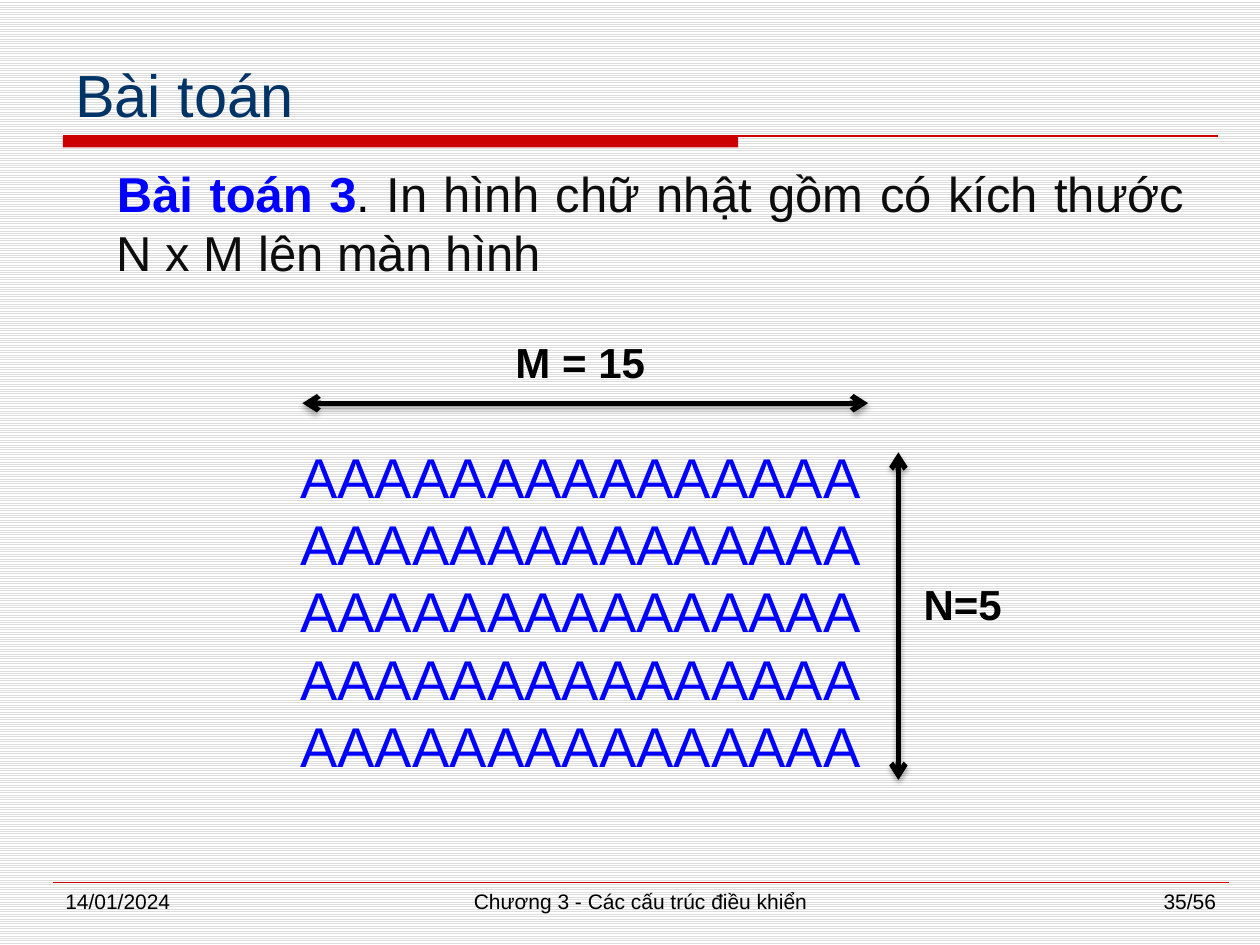
from pptx import Presentation
from pptx.dml.color import RGBColor
from pptx.enum.dml import MSO_PATTERN
from pptx.enum.shapes import MSO_CONNECTOR, MSO_SHAPE
from pptx.enum.text import MSO_ANCHOR, PP_ALIGN
from pptx.oxml import parse_xml
from pptx.oxml.ns import nsdecls, qn
from pptx.util import Inches, Pt
from lxml.etree import SubElement

COLORS = {"red": "CC0000", "navy": "003366", "blue": "0000FF", "black": "000000",
          "ink": "0D0D0D", "gray": "DDDDDD", "white": "FFFFFF"}
ROWS, COLS = 5, 15
SHADOW = (f'<a:effectLst {nsdecls("a")}><a:outerShdw blurRad="39370" dist="22860" dir="5400000" '
          'rotWithShape="0"><a:srgbClr val="000000"><a:alpha val="35000"/></a:srgbClr>'
          '</a:outerShdw></a:effectLst>')


def rgb(name):
    return RGBColor.from_string(COLORS[name])


def add_text(slide, box, text, size=12, color="black", bold=False,
             align=PP_ALIGN.LEFT, anchor=MSO_ANCHOR.TOP):
    """Text is one string per paragraph, or a list of (text, color, bold) runs."""
    frame = slide.shapes.add_textbox(*map(Inches, box)).text_frame
    frame.word_wrap = True
    frame.vertical_anchor = anchor
    lines = [text] if isinstance(text, str) else text
    for i, line in enumerate(lines):
        para = frame.paragraphs[0] if i == 0 else frame.add_paragraph()
        para.alignment = align
        runs = [(line, color, bold)] if isinstance(line, str) else line
        for words, tint, heavy in runs:
            run = para.add_run()
            run.text = words
            font = run.font
            font.name, font.size, font.bold = "Arial", Pt(size), heavy
            font.color.rgb = rgb(tint)


def add_line(slide, start, end, color, width, arrows=False):
    line = slide.shapes.add_connector(MSO_CONNECTOR.STRAIGHT, *map(Inches, start + end))
    line.line.color.rgb = rgb(color)
    line.line.width = Pt(width)
    props = line._element.spPr
    if arrows:
        for tag in ("a:headEnd", "a:tailEnd"):
            SubElement(props.find(qn("a:ln")), qn(tag), type="arrow")
        props.append(parse_xml(SHADOW))
    else:
        SubElement(props, qn("a:effectLst"))


def add_header(slide, box):
    left, top, width, height = box
    base = top + height
    add_text(slide, box, "Bài toán", size=34, color="navy", anchor=MSO_ANCHOR.BOTTOM)
    # Thick bar under the title, then the thin rule
    bar = slide.shapes.add_shape(MSO_SHAPE.RECTANGLE, Inches(left), Inches(base),
                                 Inches(5.36), Inches(0.09))
    bar.shadow.inherit = False
    bar.fill.solid()
    bar.fill.fore_color.rgb = rgb("red")
    bar.line.fill.background()
    add_line(slide, (left, base), (left + width, base), "red", 1.5)


def add_task(slide, box):
    runs = [("Bài toán 3", "blue", True), (". ", "black", False),
            ("In hình chữ nhật gồm có kích thước N x M lên màn hình", "ink", False)]
    add_text(slide, box, [runs], size=28, align=PP_ALIGN.JUSTIFY)


def add_figure(slide, box):
    left, top, width, height = box
    center = PP_ALIGN.CENTER
    # Block of letters
    add_text(slide, box, ["A" * COLS] * ROWS, size=32, color="blue",
             align=center, anchor=MSO_ANCHOR.MIDDLE)
    # Width and height arrows with their labels
    across, down = top - 0.03, left + width - 0.08
    add_line(slide, (left + 0.39, across), (down - 0.24, across), "black", 3, arrows=True)
    add_line(slide, (down, top + 0.36), (down, top + 2.96), "black", 3, arrows=True)
    add_text(slide, (left + 1.57, top - 0.61, 2.05, 0.5), f"M = {COLS}",
             size=24, bold=True, align=center)
    add_text(slide, (down, top + 1.31, 1.02, 0.5), f"N={ROWS}",
             size=24, bold=True, align=center)


def add_footer(slide, box):
    left, top, width, height = box
    right = left + width
    add_line(slide, (left, top), (right, top), "red", 0.25)
    side = 2.17
    add_text(slide, (left, top, side, height), "14/01/2024")
    add_text(slide, (left + 2.5, top, 4.33, height), "Chương 3 - Các cấu trúc điều khiển",
             align=PP_ALIGN.CENTER)
    add_text(slide, (right - side, top, side, height), "35/56", align=PP_ALIGN.RIGHT)


def main():
    deck = Presentation()
    deck.slide_width, deck.slide_height = Inches(10), Inches(7.5)
    slide = deck.slides.add_slide(deck.slide_layouts[6])
    # Lined background
    fill = slide.background.fill
    fill.patterned()
    fill.pattern = MSO_PATTERN.LIGHT_HORIZONTAL
    fill.fore_color.rgb = rgb("gray")
    fill.back_color.rgb = rgb("white")

    add_header(slide, (0.5, 0.33, 9.17, 0.75))
    add_task(slide, (0.83, 1.25, 8.67, 5.67))
    add_figure(slide, (2.01, 3.23, 5.2, 3.23))
    add_footer(slide, (0.42, 7, 9.33, 0.35))
    deck.save("out.pptx")


if __name__ == "__main__":
    main()
